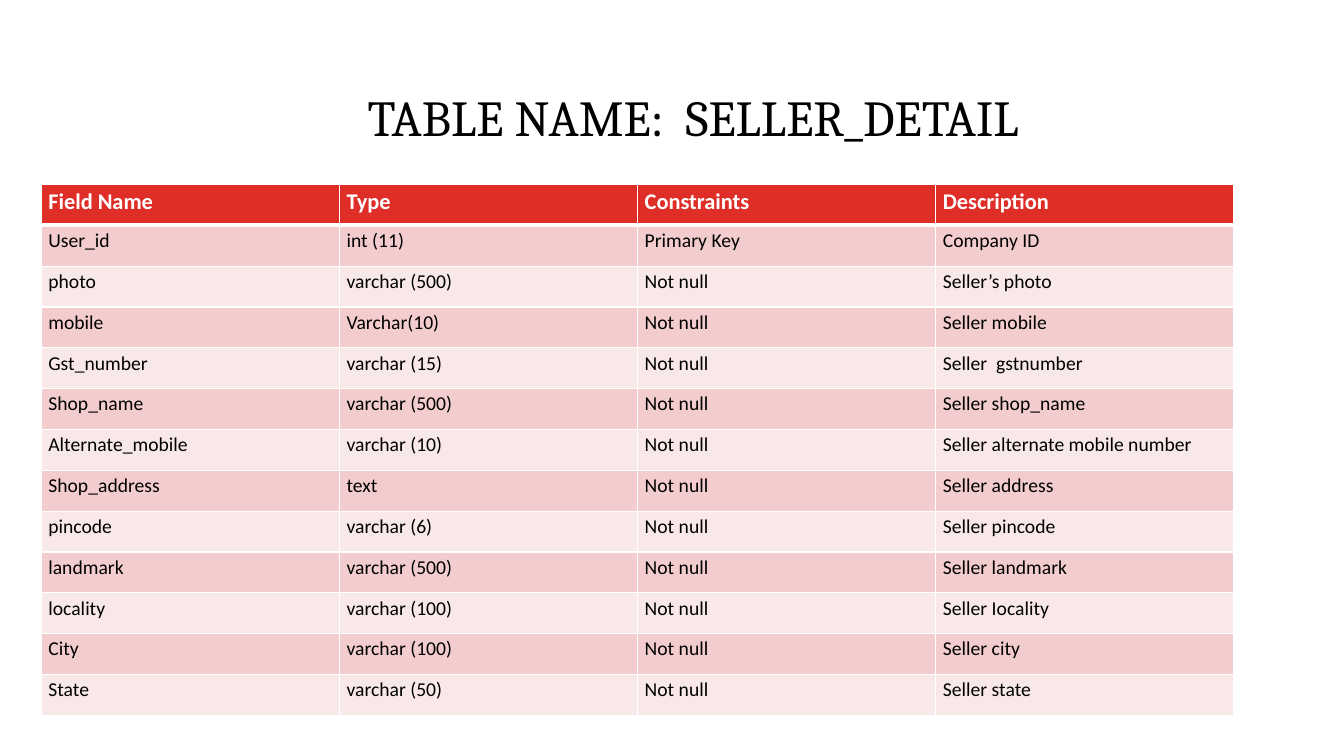
from lxml import etree
from pptx import Presentation
from pptx.dml.color import RGBColor
from pptx.enum.text import MSO_ANCHOR, MSO_AUTO_SIZE, PP_ALIGN
from pptx.oxml.ns import qn
from pptx.util import Inches, Pt

CENTER, JUSTIFY = PP_ALIGN.CENTER, PP_ALIGN.JUSTIFY
TOP, NO_AUTOFIT = MSO_ANCHOR.TOP, MSO_AUTO_SIZE.NONE
TITLE_ONLY = 5

COLORS = {
    "white": "FFFFFF",
    "black": "000000",
    "header": "DF2E28",
    "odd_row": "F3CDCD",
    "even_row": "F9E8E8",
}

# Boxes: left, top, width, height in inches
TITLE_BOX = (3.42, 0.84, 6.91, 1.21)
TABLE_BOX = (0.41, 1.83, 11.83, 5.27)

TITLE = "TABLE NAME:  SELLER_DETAIL"
HEADER = ("Field Name", "Type", "Constraints", "Description")
FIELDS = [
    ("User_id", "int (11)", "Primary Key", "Company ID"),
    ("photo", "varchar (500)", "Not null", "Seller’s photo"),
    ("mobile", "Varchar(10)", "Not null", "Seller mobile"),
    ("Gst_number", "varchar (15)", "Not null", "Seller  gstnumber"),
    ("Shop_name", "varchar (500)", "Not null", "Seller shop_name"),
    ("Alternate_mobile", "varchar (10)", "Not null", "Seller alternate mobile number"),
    ("Shop_address", "text", "Not null", "Seller address"),
    ("pincode", "varchar (6)", "Not null", "Seller pincode"),
    ("landmark", "varchar (500)", "Not null", "Seller landmark"),
    ("locality", "varchar (100)", "Not null", "Seller Iocality"),
    ("City", "varchar (100)", "Not null", "Seller city"),
    ("State", "varchar (50)", "Not null", "Seller state"),
]


def rgb(name):
    return RGBColor.from_string(COLORS[name])


def format_paragraph(paragraph, font_name, size, color, alignment, spacing, bold=False):
    paragraph.alignment = alignment
    paragraph.line_spacing = spacing
    font = paragraph.font
    font.name, font.size, font.bold = font_name, Pt(size), bold
    font.color.rgb = rgb(color)


def set_borders(cell, widths):
    """Draw white borders; widths maps L, R, T, B (in this order) to points."""
    properties = cell._tc.get_or_add_tcPr()
    for index, (side, width) in enumerate(widths.items()):
        line = etree.Element(qn(f"a:ln{side}"), w=str(Pt(width)))
        fill = etree.SubElement(line, qn("a:solidFill"))
        etree.SubElement(fill, qn("a:srgbClr"), val=COLORS["white"])
        properties.insert(index, line)


def add_title(slide, box):
    title = slide.shapes.title
    title.left, title.top, title.width, title.height = map(Inches, box)
    title.fill.solid()
    title.fill.fore_color.rgb = rgb("white")
    frame = title.text_frame
    frame.text = TITLE
    frame.word_wrap = True
    frame.auto_size = NO_AUTOFIT
    frame.vertical_anchor = TOP
    frame.margin_top = Inches(0.08)
    format_paragraph(frame.paragraphs[0], "Cambria", 36, "black", CENTER, 0.9)


def format_cell(cell, text, row_index):
    is_header = row_index == 0
    cell.text = text
    cell.vertical_anchor = TOP
    cell.margin_left = cell.margin_right = Inches(0.07)
    cell.margin_top = cell.margin_bottom = 0
    cell.fill.solid()
    row_color = "odd_row" if row_index % 2 else "even_row"
    cell.fill.fore_color.rgb = rgb("header" if is_header else row_color)
    # The thick rule lies between the header and the first field
    set_borders(cell, {"L": 1, "R": 1, "T": 3 if row_index == 1 else 1, "B": 3 if is_header else 1})
    size, color = (16, "white") if is_header else (14, "black")
    paragraph = cell.text_frame.paragraphs[0]
    format_paragraph(paragraph, "Calibri", size, color, JUSTIFY, 1.15, is_header)


def add_field_table(slide, box):
    rows = [HEADER, *FIELDS]
    # Columns and rows share the box equally
    frame = slide.shapes.add_table(len(rows), len(HEADER), *map(Inches, box))
    table = frame.table
    for row in table.rows:
        row.height = Inches(box[3] / len(rows))
    for row_index, texts in enumerate(rows):
        for column_index, text in enumerate(texts):
            format_cell(table.cell(row_index, column_index), text, row_index)


def main():
    presentation = Presentation()
    presentation.slide_width = Inches(13.33)
    presentation.slide_height = Inches(7.5)
    slide = presentation.slides.add_slide(presentation.slide_layouts[TITLE_ONLY])
    add_title(slide, TITLE_BOX)
    add_field_table(slide, TABLE_BOX)
    presentation.save("out.pptx")


if __name__ == "__main__":
    main()
